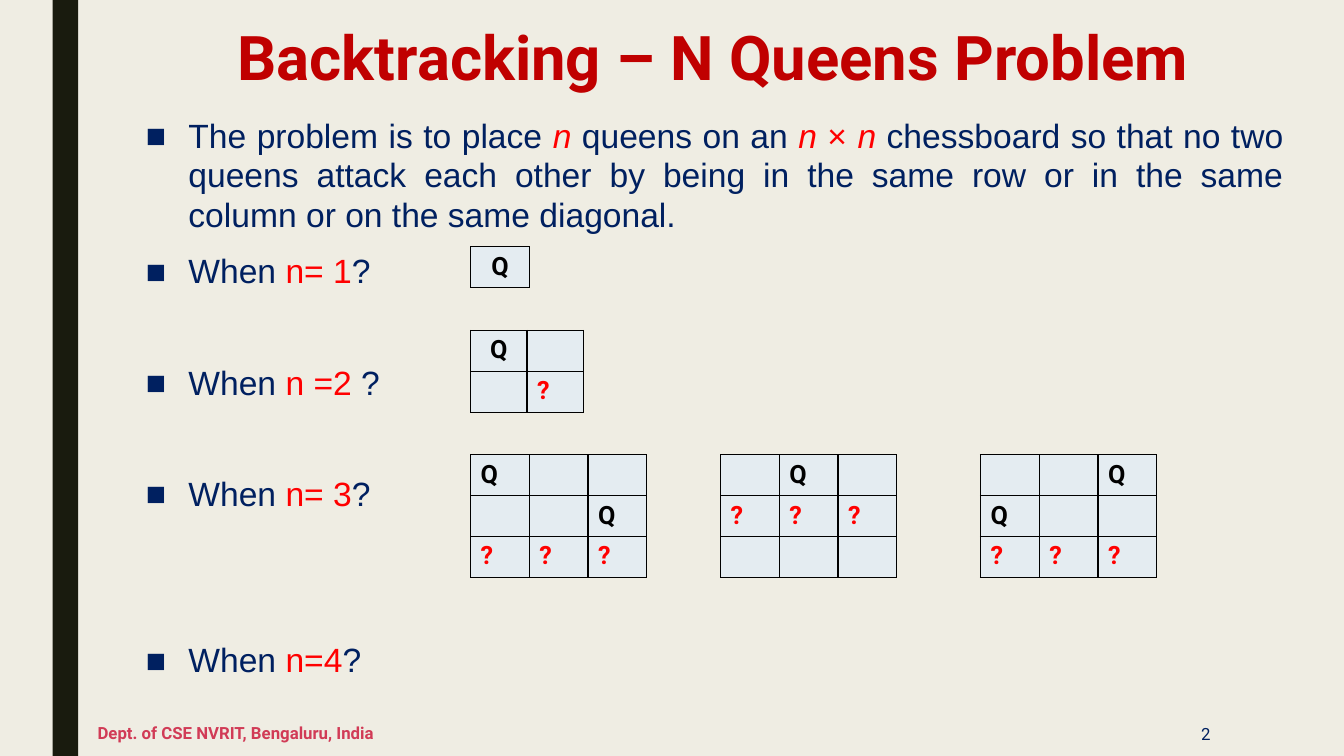
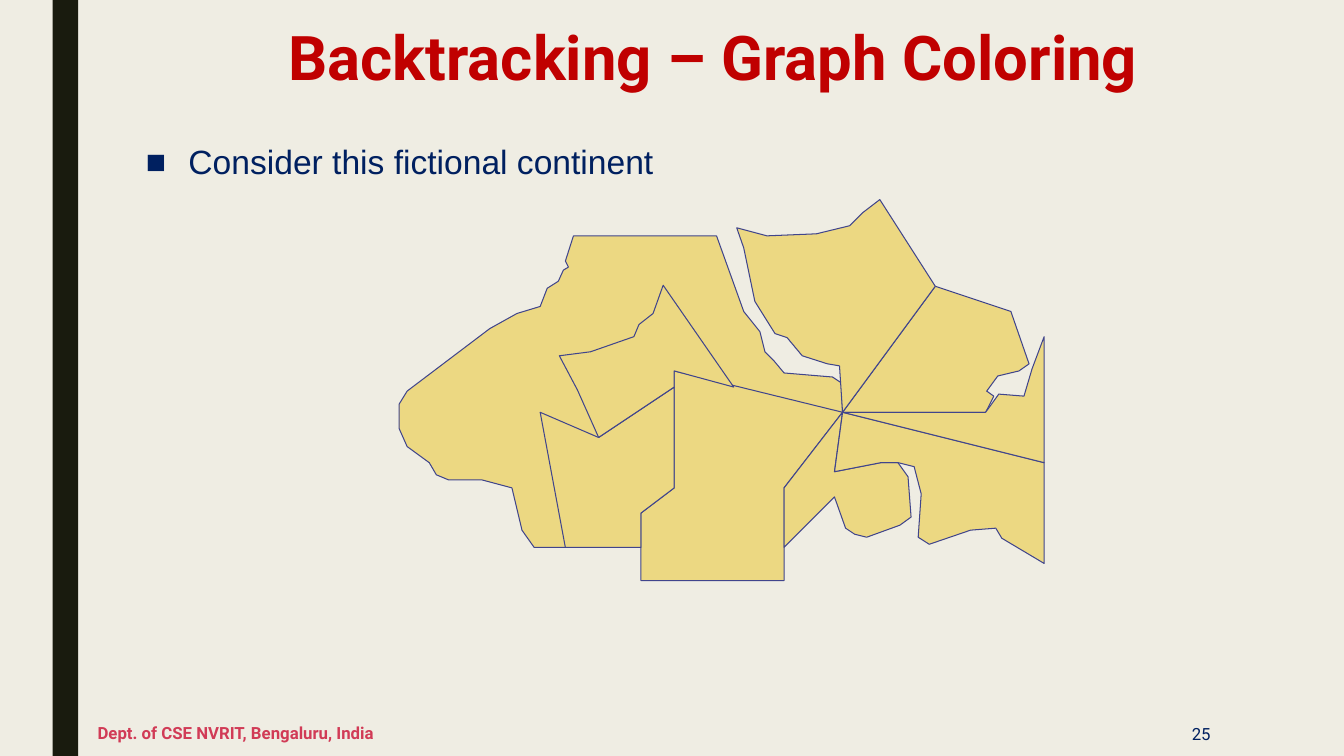
from dataclasses import dataclass

from lxml.etree import SubElement
from pptx import Presentation
from pptx.dml.color import RGBColor
from pptx.enum.shapes import MSO_SHAPE
from pptx.enum.text import MSO_ANCHOR, PP_ALIGN
from pptx.oxml.ns import qn
from pptx.util import Cm, Pt


@dataclass(frozen=True)
class Theme:
    paper: str = "EFEDE3"
    band: str = "191B0E"
    title: str = "C00000"
    text: str = "002060"
    accent: str = "FF0000"
    footer: str = "D13B56"
    cell: str = "E4ECF1"
    ink: str = "000000"
    land: str = "ECD882"
    coast: str = "40458C"
    heading_font: str = "Roboto"
    body_font: str = "Arial"
    title_size: int = 44
    body_size: int = 24
    queen_size: int = 18
    small_size: int = 12


THEME = Theme()
FOOTER = "Dept. of CSE NVRIT, Bengaluru, India"
BODY_GAP = 10
LINE_STEP = 39.3  # one body line with its spacing, in points

# Each bullet: space before in points, then spans of (text, accent, italic).
QUEENS_BULLETS = [
    (BODY_GAP, [
        ("The problem is to place ", False, False),
        ("n ", True, True),
        ("queens on an ", False, False),
        ("n ", True, True),
        ("× ", True, False),
        ("n ", True, True),
        ("chessboard so that no two queens attack each other by being in the "
         "same row or in the same column or on the same diagonal.", False, False),
    ]),
] + [
    (BODY_GAP + skipped * LINE_STEP,
     [("When ", False, False), (size, True, False), (ending, False, False)])
    for skipped, size, ending in [
        (0, "n= 1", "?"), (1, "n =2", " ?"), (1, "n= 3", "?"), (2, "n=4", "?")]
]
MAP_BULLETS = [(BODY_GAP, [("Consider this fictional continent ", False, False)])]

BOARD_LEFT = 11.86
TRIO_TOP = 11.46
CELL_WIDTH = 1.48
ROW_HEIGHT = 1.03
# Left, top and cell width in cm, queen alignment, rows ("." is an empty cell).
BOARDS = [
    (BOARD_LEFT, 6.22, CELL_WIDTH, PP_ALIGN.CENTER, ["Q"]),
    (BOARD_LEFT, 8.33, 1.42, PP_ALIGN.CENTER, ["Q.", ".?"]),
    (BOARD_LEFT, TRIO_TOP, CELL_WIDTH, PP_ALIGN.LEFT, ["Q..", "..Q", "???"]),
    (18.16, TRIO_TOP, CELL_WIDTH, PP_ALIGN.LEFT, [".Q.", "???", "..."]),
    (24.71, TRIO_TOP, CELL_WIDTH, PP_ALIGN.LEFT, ["..Q", "Q..", "???"]),
]

# Map points, in units of MAP_UNIT cm; corners that regions share have names.
MAP_UNIT = 0.0254
HUB = (836, 409)
NORTH_CORNER = (928, 284)
EAST_CORNER = (1036, 459)
BAY = (978, 409)
SOUTH_COAST = (778, 543)
SOUTH_BEND = (778, 484)
WEST_COAST = (636, 543)
WEST_BENDS = [(636, 509), (669, 484)]
INLAND_TOP = (669, 368)
INLAND_STEP = (669, 384)
VALLEY = (594, 434)
LAKE_SHORE = [(874, 459), (828, 468)]
REGIONS = [
    [(711, 234), (569, 234), (561, 259), (564, 265), (559, 268), (554, 279),
     (543, 286), (536, 304), (513, 311), (486, 326), (404, 388), (396, 401),
     (396, 425), (404, 443), (426, 459), (433, 471), (445, 476), (478, 476),
     (508, 484), (518, 526), (530, 543), WEST_COAST, HUB, (835, 380),
     (826, 374), (778, 370), (768, 358), (759, 349), (754, 329), (738, 309)],
    [(636, 576), *WEST_BENDS, INLAND_TOP, HUB, SOUTH_BEND, (778, 576)],
    [(561, 543), (536, 409), VALLEY, INLAND_STEP, *reversed(WEST_BENDS),
     WEST_COAST],
    [VALLEY, (573, 387), (555, 353), (586, 349), (629, 334), (634, 322),
     (648, 311), (658, 283), (728, 384), INLAND_TOP, INLAND_STEP],
    [SOUTH_COAST, (828, 493), (839, 524), (848, 530), (860, 533), (893, 521),
     (904, 513), (901, 473), (891, 459), *LAKE_SHORE, HUB, SOUTH_BEND],
    [HUB, EAST_CORNER, (1036, 559), (994, 534), (988, 524), (963, 526),
     (922, 540), (911, 533), (914, 490), (907, 463), (891, 459), *LAKE_SHORE],
    [HUB, BAY, (986, 393), (979, 388), (990, 373), (1011, 368), (1021, 361),
     (1003, 309), NORTH_CORNER],
    [BAY, HUB, EAST_CORNER, (1036, 334), (1024, 366), (1016, 393), (991, 391)],
    [HUB, (833, 363), (821, 361), (796, 353), (781, 335), (769, 331),
     (749, 299), (738, 246), (731, 226), (761, 234), (810, 232), (843, 224),
     (856, 211), (873, 198), NORTH_CORNER],
]


def paint(fill, color):
    fill.solid()
    fill.fore_color.rgb = RGBColor.from_string(color)


def style_font(font, name, size, color, bold=False, italic=False):
    font.name = name
    font.size = Pt(size)
    font.bold = bold
    font.italic = italic
    font.color.rgb = RGBColor.from_string(color)


def add_text_frame(page, left, top, width, height, anchor=MSO_ANCHOR.TOP):
    box = page.shapes.add_textbox(Cm(left), Cm(top), Cm(width), Cm(height))
    box.text_frame.word_wrap = True
    box.text_frame.vertical_anchor = anchor
    return box.text_frame


def add_label(page, place, text, size, color, align, bold=True,
              anchor=MSO_ANCHOR.MIDDLE):
    frame = add_text_frame(page, *place, anchor)
    frame.text = text
    para = frame.paragraphs[0]
    para.alignment = align
    style_font(para.runs[0].font, THEME.heading_font, size, color, bold)
    return para


def add_page(deck, title, number):
    """Add a page with the band, title, footer and page number all pages share."""
    page = deck.slides.add_slide(deck.slide_layouts[6])
    band = page.shapes.add_shape(
        MSO_SHAPE.RECTANGLE, Cm(1.33), 0, Cm(0.64), deck.slide_height)
    band.shadow.inherit = False
    paint(band.fill, THEME.band)
    band.line.fill.background()
    heading = add_label(page, (3.43, 0.58, 29.49, 2.24), title, THEME.title_size,
                        THEME.title, PP_ALIGN.CENTER, anchor=MSO_ANCHOR.TOP)
    heading.line_spacing = 0.89
    add_label(page, (2.21, 17.91, 17.45, 1.12), FOOTER, THEME.small_size,
              THEME.footer, PP_ALIGN.LEFT)
    add_label(page, (26.31, 17.93, 4.45, 1.12), str(number), THEME.small_size,
              THEME.text, PP_ALIGN.RIGHT, bold=False)
    return page


def set_bullet(para):
    properties = para._p.get_or_add_pPr()
    properties.set("marL", str(Cm(1.07)))
    properties.set("indent", str(-Cm(1.07)))
    SubElement(properties, qn("a:buFont"), typeface=THEME.body_font)
    SubElement(properties, qn("a:buChar"), char="■")


def add_bullets(page, place, bullets):
    frame = add_text_frame(page, *place)
    for index, (gap, spans) in enumerate(bullets):
        para = frame.add_paragraph() if index else frame.paragraphs[0]
        para.alignment = PP_ALIGN.JUSTIFY
        para.line_spacing = 0.98
        para.space_before = Pt(gap)
        para.space_after = Pt(2)
        set_bullet(para)
        for text, accent, italic in spans:
            span = para.add_run()
            span.text = text
            style_font(span.font, THEME.body_font, THEME.body_size,
                       THEME.accent if accent else THEME.text, italic=italic)


def set_borders(cell):
    properties = cell._tc.get_or_add_tcPr()
    for side in ("a:lnL", "a:lnR", "a:lnT", "a:lnB"):
        border = SubElement(properties, qn(side), w=str(Pt(1)))
        fill = SubElement(border, qn("a:solidFill"))
        SubElement(fill, qn("a:srgbClr"), val=THEME.ink)


def add_board(page, left, top, cell_width, queen_align, rows):
    count = len(rows)
    table = page.shapes.add_table(
        count, count, Cm(left), Cm(top), Cm(cell_width) * count,
        Cm(ROW_HEIGHT) * count).table
    table.first_row = False
    table.horz_banding = False
    for row_index, marks in enumerate(rows):
        for column_index, mark in enumerate(marks):
            cell = table.cell(row_index, column_index)
            set_borders(cell)
            paint(cell.fill, THEME.cell)
            if mark == ".":
                continue
            cell.text = mark
            para = cell.text_frame.paragraphs[0]
            is_queen = mark == "Q"
            para.alignment = queen_align if is_queen else PP_ALIGN.LEFT
            style_font(para.runs[0].font, THEME.heading_font, THEME.queen_size,
                       THEME.ink if is_queen else THEME.accent, bold=True)


def add_region(page, outline):
    start, *rest = [(Cm(x * MAP_UNIT), Cm(y * MAP_UNIT)) for x, y in outline]
    builder = page.shapes.build_freeform(*start)
    builder.add_line_segments(rest, close=True)
    region = builder.convert_to_shape()
    region.shadow.inherit = False
    paint(region.fill, THEME.land)
    paint(region.line.fill, THEME.coast)
    region.line.width = Pt(0.75)


def main():
    deck = Presentation()
    deck.slide_width = Cm(33.87)
    deck.slide_height = Cm(19.05)
    paint(deck.slide_master.background.fill, THEME.paper)

    queens = add_page(deck, "Backtracking – N Queens Problem ", 2)
    add_bullets(queens, (3.43, 2.82, 29.16, 14.99), QUEENS_BULLETS)
    for board in BOARDS:
        add_board(queens, *board)

    coloring = add_page(deck, "Backtracking – Graph Coloring ", 25)
    add_bullets(coloring, (3.43, 3.48, 29.49, 13.89), MAP_BULLETS)
    for outline in REGIONS:
        add_region(coloring, outline)

    deck.save("out.pptx")


if __name__ == "__main__":
    main()
